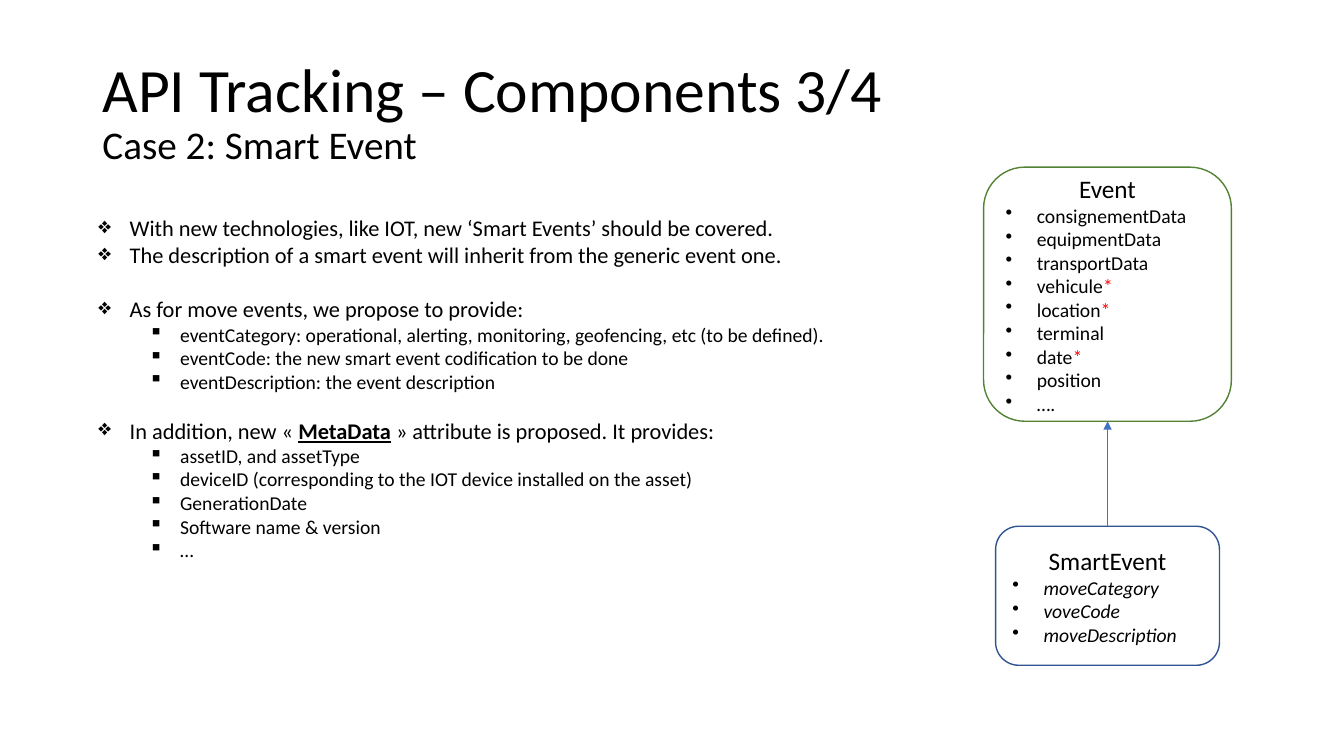
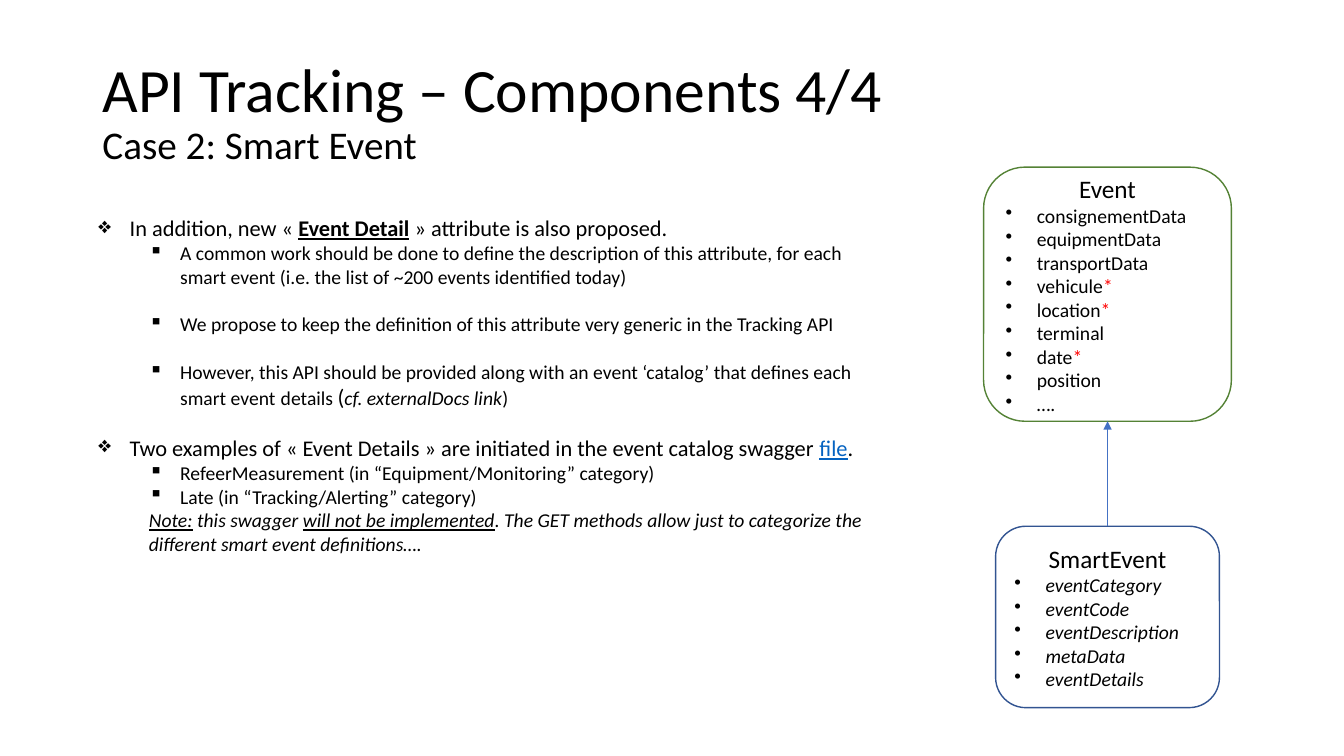
from dataclasses import dataclass
from lxml.etree import SubElement
from pptx import Presentation
from pptx.dml.color import RGBColor
from pptx.enum.shapes import MSO_CONNECTOR as Link, MSO_SHAPE as Shape
from pptx.enum.text import MSO_ANCHOR as Anchor, MSO_AUTO_SIZE as Fit, PP_ALIGN as Align
from pptx.oxml.ns import qn
from pptx.util import Inches, Pt

COLUMNS, ROWS = 32, 18


@dataclass(frozen=True)
class Theme:
    font: str = "Calibri"
    ink: str = "000000"
    required: str = "FF0000"
    link: str = "0563C1"
    event: str = "548235"
    smart: str = "325491"
    arrow: str = "4472C4"
    title: int = 44
    subtitle: int = 28
    heading: int = 18
    body: int = 16
    detail: int = 14


@dataclass(frozen=True)
class Level:
    depth: int
    margin: float
    hanging: float
    bullet: str
    size: int


THEME = Theme()
POINT = Level(0, 0.31, 0.31, "❖", THEME.body)
DETAIL = Level(1, 0.81, 0.31, "▪", THEME.detail)
REMARK = Level(1, 0.5, 0, "", THEME.detail)
FIELD = Level(0, 0.31, 0.31, "•", THEME.detail)

# Space that one line of body or detail text takes, in points
BODY_GAP, DETAIL_GAP = 19.5, 17.1


class Builder:
    def __init__(self, theme):
        self.theme = theme
        self.deck = Presentation()
        self.deck.slide_width, self.deck.slide_height = Inches(40 / 3), Inches(7.5)
        self.page = None

    def place(self, left, top, width, height):
        across = self.deck.slide_width / COLUMNS
        down = self.deck.slide_height / ROWS
        return [round(n) for n in (left * across, top * down, width * across, height * down)]

    def style(self, span, size, marks=()):
        """Marks are any of: bold, italic, underline, body, link, required."""
        font = span.font
        font.name = self.theme.font
        font.size = Pt(self.theme.body if "body" in marks else size)
        font.bold = "bold" in marks
        font.italic = "italic" in marks
        font.underline = "underline" in marks or "link" in marks
        colors = {"link": self.theme.link, "required": self.theme.required}
        color = next((colors[mark] for mark in marks if mark in colors), self.theme.ink)
        font.color.rgb = RGBColor.from_string(color)

    def fill_para(self, para, content, level, gap=0, italic=False):
        """Content is a string or a list of strings and (string, marks) pairs."""
        for piece in [content] if isinstance(content, str) else content:
            words, marks = (piece, "") if isinstance(piece, str) else piece
            span = para.add_run()
            span.text = words
            self.style(span, level.size, marks.split() + ["italic"] * italic)
        para.alignment, para.level = Align.LEFT, level.depth
        para.space_before = Pt(gap)
        props = para._p.get_or_add_pPr()
        props.set("marL", str(Inches(level.margin)))
        props.set("indent", str(-Inches(level.hanging)))
        if level.bullet:
            SubElement(props, qn("a:buChar")).set("char", level.bullet)

    def start(self, title, subtitle):
        self.page = self.deck.slides.add_slide(self.deck.slide_layouts[5])
        box = self.page.shapes.title
        box.left, box.top, box.width, box.height = self.place(2.2, 0.96, 27.6, 3.48)
        frame = box.text_frame
        frame.text = f"{title}\v{subtitle}"
        frame.vertical_anchor, frame.auto_size = Anchor.MIDDLE, Fit.NONE
        para = frame.paragraphs[0]
        para.alignment, para.line_spacing = Align.LEFT, 0.9
        for span, size in zip(para.runs, (self.theme.title, self.theme.subtitle)):
            self.style(span, size)

    def card(self, axis, top, width, height, color, heading, fields, italic=False):
        area = self.place(axis - width / 2, top, width, height)
        box = self.page.shapes.add_shape(Shape.ROUNDED_RECTANGLE, *area)
        box.shadow.inherit = False
        box.fill.background()
        box.line.color.rgb = RGBColor.from_string(color)
        box.line.width = Pt(1)
        frame = box.text_frame
        frame.word_wrap, frame.vertical_anchor = True, Anchor.MIDDLE
        frame.text = heading
        frame.paragraphs[0].alignment = Align.CENTER
        self.style(frame.paragraphs[0].runs[0], self.theme.heading)
        for field in fields:
            self.fill_para(frame.add_paragraph(), field, FIELD, italic=italic)

    def arrow_up(self, axis, bottom, top):
        x, start, _, end = self.place(axis, bottom, 0, top)
        line = self.page.shapes.add_connector(Link.STRAIGHT, x, start, x, end)
        line.line.color.rgb = RGBColor.from_string(self.theme.arrow)
        line.line.width = Pt(0.5)
        props = line.element.spPr
        SubElement(props.find(qn("a:ln")), qn("a:tailEnd")).set("type", "triangle")
        SubElement(props, qn("a:effectLst"))

    def outline(self, width, height, items):
        box = self.page.shapes.add_textbox(*self.place(2.11, 4.99, width, height))
        frame = box.text_frame
        frame.word_wrap, frame.auto_size = True, Fit.SHAPE_TO_FIT_TEXT
        for number, (level, content, gap) in enumerate(items):
            para = frame.add_paragraph() if number else frame.paragraphs[0]
            self.fill_para(para, content, level, gap)


# Content
STAR = ("*", "required")
EVENT_FIELDS = [
    "consignementData", "equipmentData", "transportData", ["vehicule", STAR],
    ["location", STAR], "terminal", ["date", STAR], "position", "….",
]

COVERAGE = [
    (POINT, "With new technologies, like IOT, new ‘Smart Events’ should be covered.", 0),
    (POINT, "The description of a smart event will inherit from the generic event one.", 0),
    (POINT, "As for move events, we propose to provide:", BODY_GAP),
    (DETAIL, "eventCategory: operational, alerting, monitoring, geofencing, etc (to be defined).", 0),
    (DETAIL, "eventCode: the new smart event codification to be done", 0),
    (DETAIL, "eventDescription: the event description", 0),
    (POINT, ["In addition, new «\u00a0", ("MetaData", "bold underline"),
             "\u00a0» attribute is proposed. It provides:"], DETAIL_GAP),
    (DETAIL, "assetID, and assetType", 0),
    (DETAIL, "deviceID (corresponding to the IOT device installed on the asset)", 0),
    (DETAIL, "GenerationDate", 0),
    (DETAIL, "Software name & version", 0),
    (DETAIL, "…", 0),
]

EVENT_DETAIL = [
    (POINT, ["In addition, new «\u00a0", ("Event Detail", "bold underline"),
             "\u00a0» attribute is also proposed."], 0),
    (DETAIL, "A common work should be done to define the description of this attribute, "
             "for each smart event (i.e. the list of ~200 events identified today)", 0),
    (DETAIL, "We propose to keep the definition of this attribute very generic "
             "in the Tracking API", DETAIL_GAP),
    (DETAIL, ["However, this API should be provided along with an event ‘catalog’ "
              "that defines each smart event", (" ", "body"), "details ", ("(", "body"),
              ("cf. externalDocs link", "italic"), ")"], DETAIL_GAP),
    (POINT, ["Two examples of «\u00a0Event Details\u00a0» are initiated in the event "
             "catalog swagger ", ("file", "link"), "."], DETAIL_GAP),
    (DETAIL, "RefeerMeasurement (in “Equipment/Monitoring” category)", 0),
    (DETAIL, "Late (in “Tracking/Alerting” category)", 0),
    (REMARK, [("Note:", "italic underline"), (" this swagger ", "italic"),
              ("will not be implemented", "italic underline"),
              (". The GET methods allow just to categorize the different "
               "smart event definitions….", "italic")], 0),
]

# Each slide: number, smart event fields and card height, outline size and items
SLIDES = [
    (3, ["moveCategory", "voveCode", "moveDescription"], 3.31, (18.48, 8.57), COVERAGE),
    (4, ["eventCategory", "eventCode", "eventDescription", "metaData", "eventDetails"],
     4.32, (19.13, 8.98), EVENT_DETAIL),
]

# Slides
AXIS, EVENT_TOP, EVENT_HEIGHT, SMART_TOP = 26.37, 3.98, 6.05, 12.53
builder = Builder(THEME)
for number, smart_fields, smart_height, size, items in SLIDES:
    builder.start(f"API Tracking – Components {number}/4", "Case 2: Smart Event")
    builder.card(AXIS, SMART_TOP, 5.33, smart_height, THEME.smart,
                 "SmartEvent", smart_fields, italic=True)
    builder.card(AXIS, EVENT_TOP, 5.9, EVENT_HEIGHT, THEME.event, "Event", EVENT_FIELDS)
    builder.arrow_up(AXIS, SMART_TOP, EVENT_TOP + EVENT_HEIGHT)
    builder.outline(*size, items)

builder.deck.save("out.pptx")
